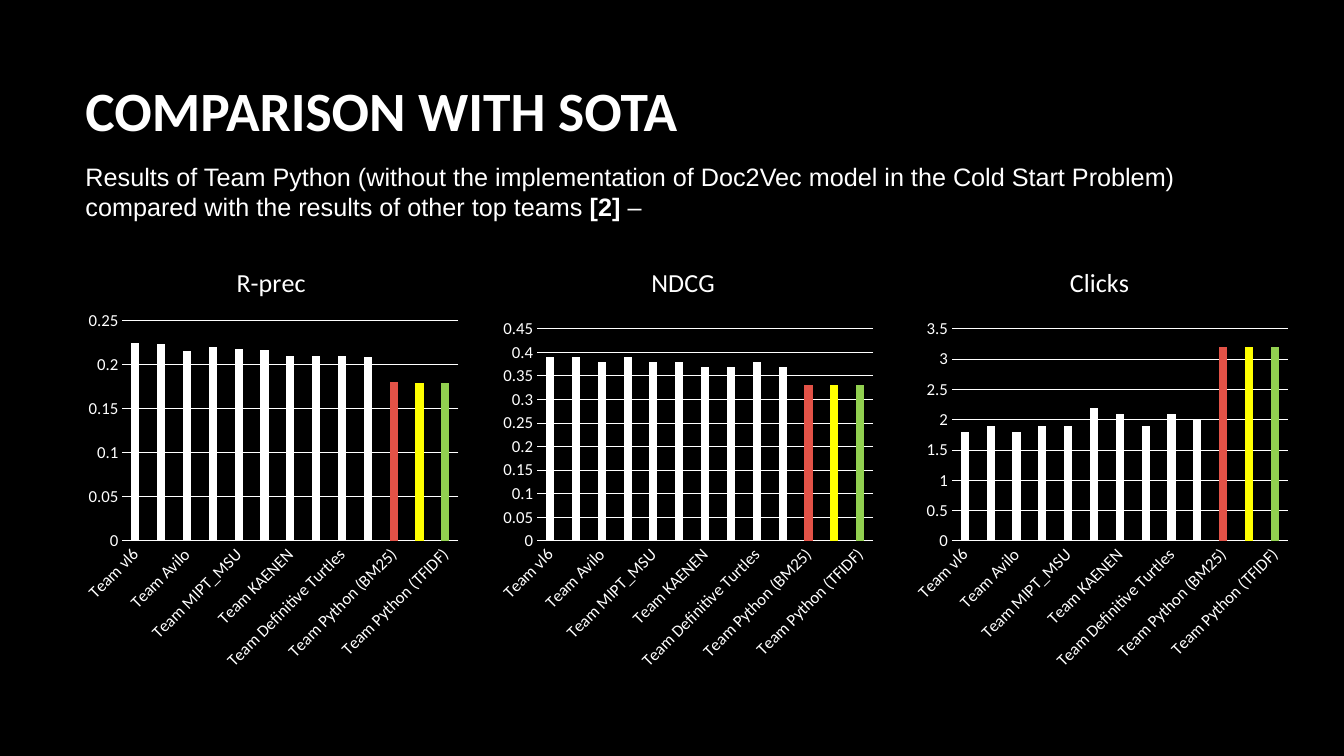
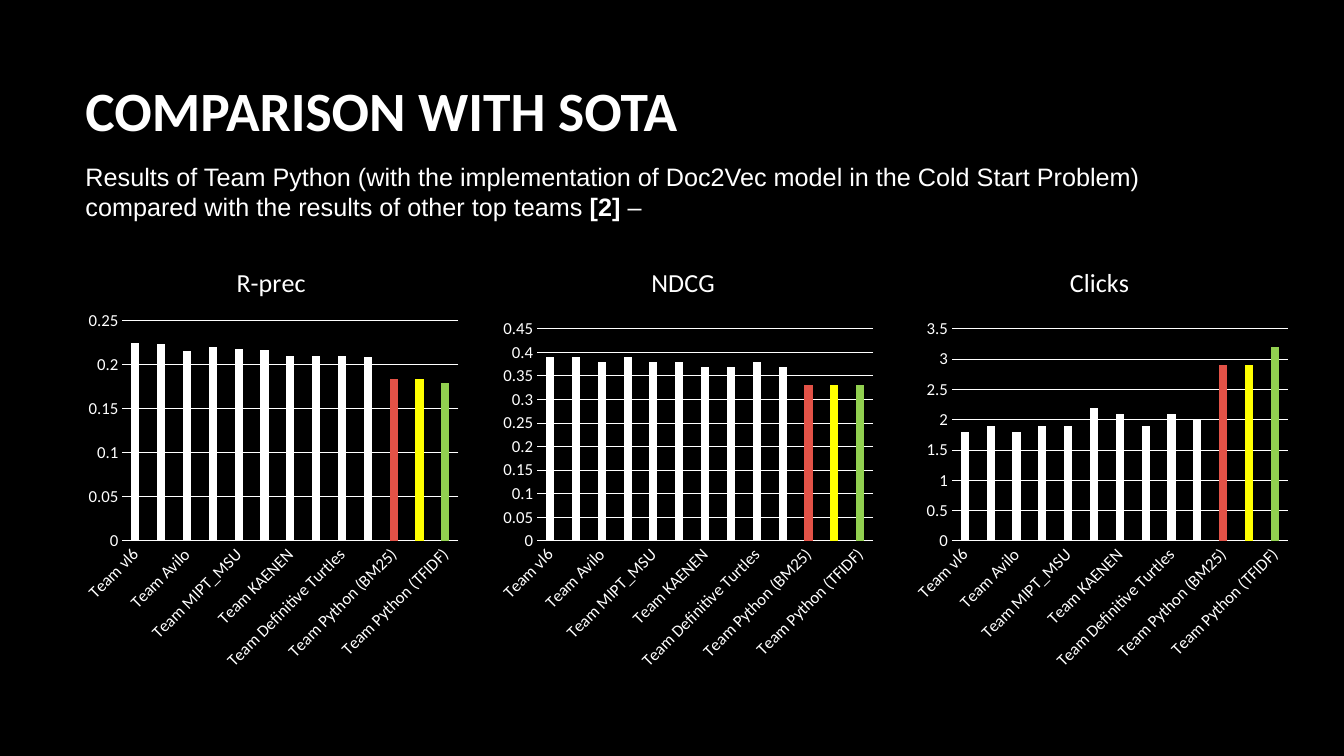
from lxml.etree import SubElement
from pptx import Presentation
from pptx.chart.data import CategoryChartData
from pptx.dml.color import RGBColor
from pptx.enum.chart import XL_CHART_TYPE, XL_TICK_MARK
from pptx.enum.text import MSO_ANCHOR
from pptx.oxml.ns import qn
from pptx.util import Emu, Pt

SCALE = 9525
COLORS = {"back": "000000", "text": "FFFFFF", "red": "E25247",
          "yellow": "FFFF00", "green": "92D050"}
FONTS = {
    "title": {"name": "Calibri", "size": Pt(39.6), "bold": True},
    "body": {"name": "Arial", "size": Pt(18), "bold": False},
    "strong": {"name": "Arial", "size": Pt(18), "bold": True},
    "chart": {"name": "Calibri", "size": Pt(10)},
    "axis": {"name": "Calibri", "size": Pt(12), "bold": False},
    "head": {"name": "Calibri", "size": Pt(18.6), "bold": False},
}
LEFT, TOP, WIDTH, HEIGHT, STEP = 72, 235, 372, 412, 395
TEAMS = ["Team vl6", "Team Avilo", "Team MIPT_MSU", "Team KAENEN",
         "Team Definitive Turtles", "Team Python (BM25)", "Team Python (TFIDF)"]
MARKS = ["red", "yellow", "green"]
CHARTS = [
    {"name": "R-prec", "top": 0.25, "unit": 0.05,
     "head": {"x": 0.4, "y": 0.03},
     "plot": {"x": 0.12, "y": 0.17, "w": 0.86, "h": 0.51},
     "vals": [0.224, 0.223, 0.215, 0.22, 0.217, 0.216, 0.209, 0.209, 0.209, 0.208]},
    {"name": "NDCG", "top": 0.45, "unit": 0.05,
     "head": {"x": 0.4, "y": 0.03},
     "plot": {"x": 0.12, "y": 0.19, "w": 0.86, "h": 0.49},
     "vals": [0.39, 0.39, 0.38, 0.39, 0.38, 0.38, 0.37, 0.37, 0.38, 0.37]},
    {"name": "Clicks", "top": 3.5, "unit": 0.5,
     "head": {"x": 0.41, "y": 0.03},
     "plot": {"x": 0.12, "y": 0.19, "w": 0.86, "h": 0.49},
     "vals": [1.8, 1.9, 1.8, 1.9, 1.9, 2.2, 2.1, 1.9, 2.1, 2]},
]
SLIDES = [
    ("without", [[0.18, 0.179, 0.179], [0.33, 0.33, 0.33], [3.2, 3.2, 3.2]]),
    ("with", [[0.183, 0.183, 0.179], [0.33, 0.33, 0.33], [2.9, 2.9, 3.2]]),
]


def px(*sizes):
    """Turn pixel lengths into EMU."""
    return [Emu(size * SCALE) for size in sizes]


def put(item, values):
    """Set each named value on an object."""
    for name, value in values.items():
        setattr(item, name, value)


def ink(color, key="text"):
    """Apply a palette colour."""
    color.rgb = RGBColor.from_string(COLORS[key])


def style(font, key):
    """Apply a named font style in the text colour."""
    put(font, FONTS[key])
    ink(font.color)


def add_text(slide, box, runs, form):
    """Add one paragraph of styled runs."""
    frame = slide.shapes.add_textbox(*px(*box)).text_frame
    put(frame, {"word_wrap": True, **form})
    line = frame.paragraphs[0]
    for text, key in runs:
        run = line.add_run()
        run.text = text
        style(run.font, key)


def place(parent, index, spot, inner=False):
    """Give a chart part a manual layout."""
    for old in parent.findall(qn("c:layout")):
        parent.remove(old)
    layout = SubElement(parent, qn("c:layout"))
    parent.insert(index, layout)
    manual = SubElement(layout, qn("c:manualLayout"))
    parts = [("layoutTarget", "inner")] if inner else []
    parts += [("xMode", "edge"), ("yMode", "edge"), *spot.items()]
    for tag, value in parts:
        SubElement(manual, qn("c:" + tag)).set("val", str(value))


def style_axes(chart, top, unit):
    """Format both axes and the grid lines."""
    cats, vals = chart.category_axis, chart.value_axis
    for axis in (cats, vals):
        put(axis, {"major_tick_mark": XL_TICK_MARK.NONE,
                   "minor_tick_mark": XL_TICK_MARK.NONE})
        style(axis.tick_labels.font, "axis")
    put(cats, {"has_major_gridlines": False})
    put(vals, {"has_major_gridlines": True, "minimum_scale": 0,
               "maximum_scale": top, "major_unit": unit})
    for line in (cats.format.line, vals.major_gridlines.format.line):
        line.width = Pt(0.75)
        ink(line.color)
    vals.format.line.fill.background()
    body = chart.element.find(".//" + qn("c:catAx")).find(".//" + qn("a:bodyPr"))
    body.set("rot", "-2700000")


def add_bars(slide, left, info, own):
    """Add a column chart with every other bar named and the last three marked."""
    vals = info["vals"] + own
    data = CategoryChartData()
    data.categories = ["" if spot % 2 else TEAMS[spot // 2]
                       for spot in range(len(vals))]
    data.add_series(info["name"], vals)
    chart = slide.shapes.add_chart(XL_CHART_TYPE.COLUMN_CLUSTERED,
                                   *px(left, TOP, WIDTH, HEIGHT), data).chart
    put(chart, {"has_legend": False, "has_title": True})
    style(chart.font, "chart")
    frame = chart.chart_title.text_frame
    frame.text = info["name"]
    style(frame.paragraphs[0].runs[0].font, "head")
    chart.chart_title.include_in_layout = False
    style_axes(chart, info["top"], info["unit"])
    plot = chart.plots[0]
    put(plot, {"gap_width": 219, "overlap": -27, "vary_by_categories": False})
    bars = plot.series[0]
    fills = [(bars.format.fill, "text")]
    fills += [(bars.points[spot].format.fill, key)
              for spot, key in enumerate(MARKS, len(info["vals"]))]
    for fill, key in fills:
        fill.solid()
        ink(fill.fore_color, key)
    root = chart.element
    place(root.find(".//" + qn("c:title")), 1, info["head"])
    place(root.find(".//" + qn("c:plotArea")), 0, info["plot"], True)


def add_slide(deck, mode, scores):
    """Build one slide of results."""
    slide = deck.slides.add_slide(deck.slide_layouts[6])
    fill = slide.background.fill
    fill.solid()
    ink(fill.fore_color, "back")
    add_text(slide, (LEFT, 57, 1064, 95), [("COMPARISON WITH SOTA", "title")],
             {"vertical_anchor": MSO_ANCHOR.MIDDLE})
    for index, (info, own) in enumerate(zip(CHARTS, scores)):
        add_bars(slide, LEFT + index * STEP, info, own)
    text = (f"Results of Team Python ({mode} the implementation of Doc2Vec model "
            "in the Cold Start Problem) compared with the results of other top teams")
    add_text(slide, (LEFT, 149, 1069, 72),
             [(text, "body"), (" [2] ", "strong"), ("–", "body")],
             {"vertical_anchor": MSO_ANCHOR.TOP})


def main():
    """Build and save the deck."""
    deck = Presentation()
    deck.slide_width, deck.slide_height = px(1280, 720)
    for mode, scores in SLIDES:
        add_slide(deck, mode, scores)
    deck.save("out.pptx")


if __name__ == "__main__":
    main()
